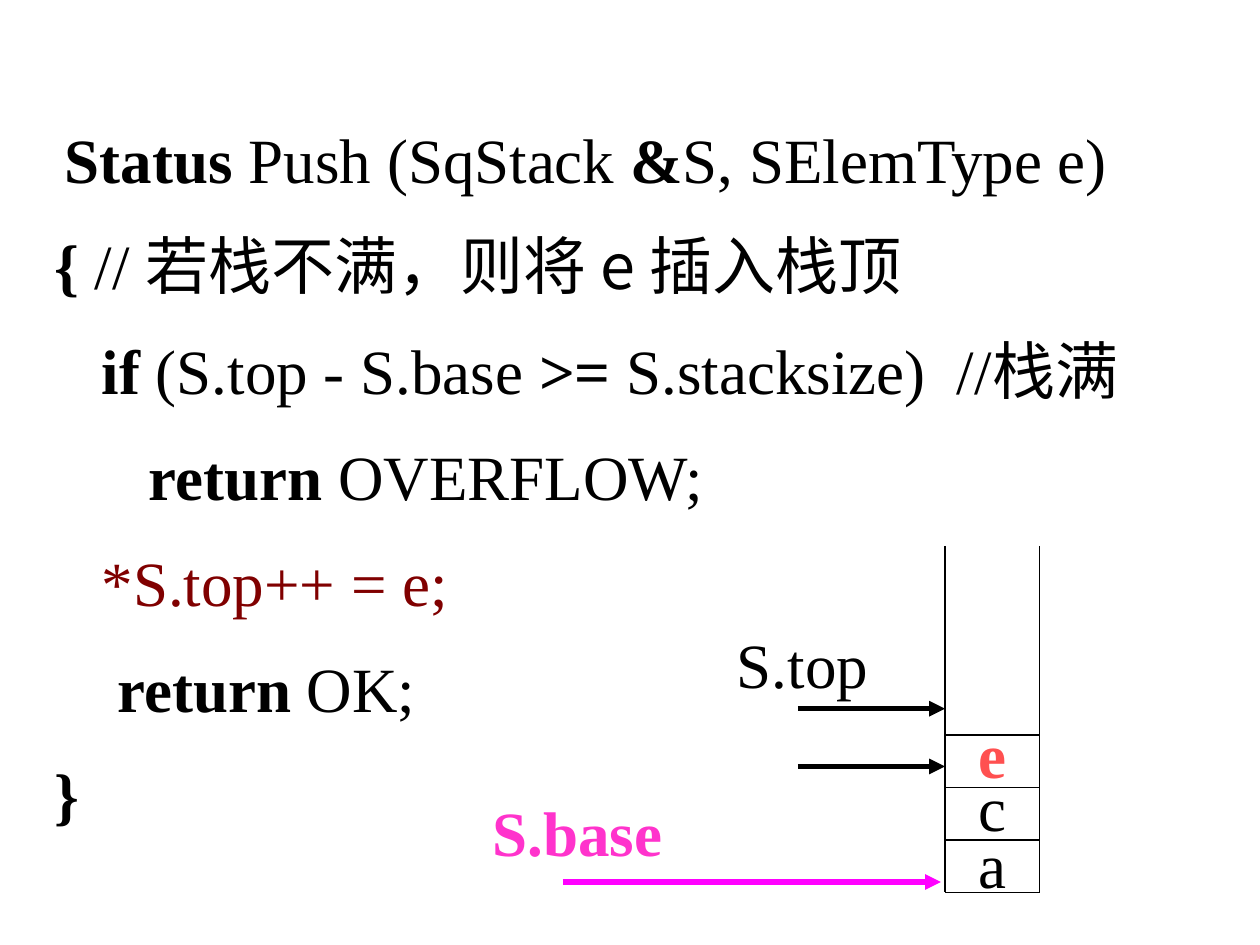
import pptx
import pptx.util
import pptx.dml.color
import pptx.enum.shapes
import pptx.enum.text
import pptx.oxml.ns
import lxml.etree

COLUMNS, ROWS = 120, 90
CELL = pptx.util.Inches(10) / COLUMNS
SERIF, CHINESE = "Times New Roman", "Noto Sans CJK SC"
BLACK, DARK_RED = "000000", "800000"

CODE_LINES = [
    [(" ", {"size": 24}), ("Status", {"bold": True}), (" Push (SqStack ", {}),
     ("&", {"bold": True}), ("S, SElemType e)", {})],
    [("{ ", {"bold": True}), ("// ", {}), ("若栈不满，则将 e 插入栈顶", {"font_name": CHINESE})],
    [("   if ", {"bold": True}), ("(S.top - S.base ", {}), (">=", {"bold": True}),
     (" S.stacksize)  //栈满", {})],
    [("      ", {}), ("return", {"bold": True}), (" OVERFLOW;", {})],
    [("   *S.top++ = e;", {"color": DARK_RED})],
    [("    ", {}), ("return ", {"bold": True}), ("OK;", {})],
    [("}", {"bold": True})],
]


def grid(*cells):
    return [round(cell * CELL) for cell in cells]


def set_color(target, color):
    target.rgb = pptx.dml.color.RGBColor.from_string(color)


def style_run(run, size=36, font_name=SERIF, color=BLACK, bold=False):
    run.font.size = pptx.util.Pt(size)
    run.font.bold = bold
    run.font.name = font_name
    set_color(run.font.color, color)
    east_asian = lxml.etree.Element(pptx.oxml.ns.qn("a:ea"), typeface=CHINESE)
    run.font._element.find(pptx.oxml.ns.qn("a:latin")).addnext(east_asian)


def add_text_frame(slide, box, wrap=True):
    text_frame = slide.shapes.add_textbox(*grid(*box)).text_frame
    text_frame.word_wrap = wrap
    text_frame.auto_size = pptx.enum.text.MSO_AUTO_SIZE.SHAPE_TO_FIT_TEXT
    return text_frame


def add_label(slide, box, text, wrap=True, **style):
    text_frame = add_text_frame(slide, box, wrap)
    text_frame.text = text
    style_run(text_frame.paragraphs[0].runs[0], **style)


def add_line(slide, start, end, color=BLACK, width=0.75, arrow=False):
    connector = slide.shapes.add_connector(
        pptx.enum.shapes.MSO_CONNECTOR.STRAIGHT, *grid(*start, *end))
    set_color(connector.line.color, color)
    connector.line.width = pptx.util.Pt(width)
    if arrow:
        lxml.etree.SubElement(connector.line._get_or_add_ln(),
                              pptx.oxml.ns.qn("a:tailEnd"), type="triangle")
    lxml.etree.SubElement(connector._element.spPr, pptx.oxml.ns.qn("a:effectLst"))


def add_code(slide, box):
    text_frame = add_text_frame(slide, box)
    for index, pieces in enumerate(CODE_LINES):
        paragraph = text_frame.paragraphs[0] if index == 0 else text_frame.add_paragraph()
        paragraph.line_spacing = 1.4
        for text, style in pieces:
            run = paragraph.add_run()
            run.text = text
            style_run(run, **style)


def add_stack(slide, box):
    left, top, width, height = box
    right, bottom, cell_height = left + width, top + height, 5
    for side in (left, right):
        add_line(slide, (side, top), (side, bottom))
    for level in range(4):
        row = bottom - level * cell_height
        add_line(slide, (left, row), (right, row))
    elements = [("a", 7, {}), ("c", 12.4, {}), ("e", 17.4, {"color": "FF5050", "bold": True})]
    for text, rise, style in elements:
        add_label(slide, (left + 2, bottom - rise, 6.4, 8.4), text, **style)


def add_top_pointers(slide, box):
    left, top, width, height = box
    right, bottom = left + width, top + height
    for row in (bottom - 5.5, bottom):
        add_line(slide, (left + 7, row), (right, row), width=3, arrow=True)
    add_label(slide, (left, top, 15, 8.4), "S.top")


def add_base_pointer(slide, box):
    left, top, width, height = box
    row = top + height
    add_line(slide, (left + 7.9, row), (left + width, row), "FF00FF", 3, True)
    add_label(slide, (left, top, 18.6, 8.4), "S.base", wrap=False, color="FF33CC", bold=True)


def main():
    presentation = pptx.Presentation()
    presentation.slide_width, presentation.slide_height = grid(COLUMNS, ROWS)
    slide = presentation.slides.add_slide(presentation.slide_layouts[6])
    add_code(slide, (4, 8, 112, 71.8))
    add_stack(slide, (90, 52, 9, 33))
    add_top_pointers(slide, (69, 59, 21, 14))
    add_base_pointer(slide, (45.7, 75, 43.9, 9))
    presentation.save("out.pptx")


if __name__ == "__main__":
    main()
